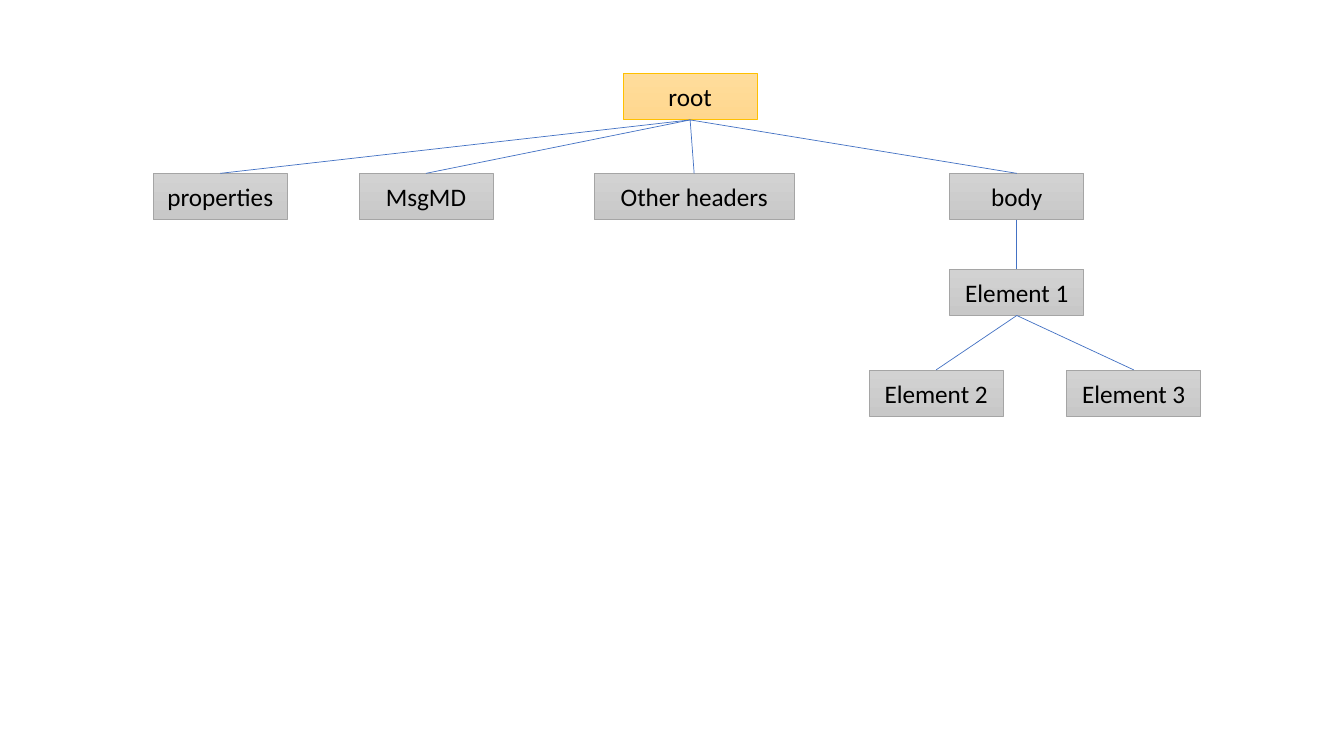
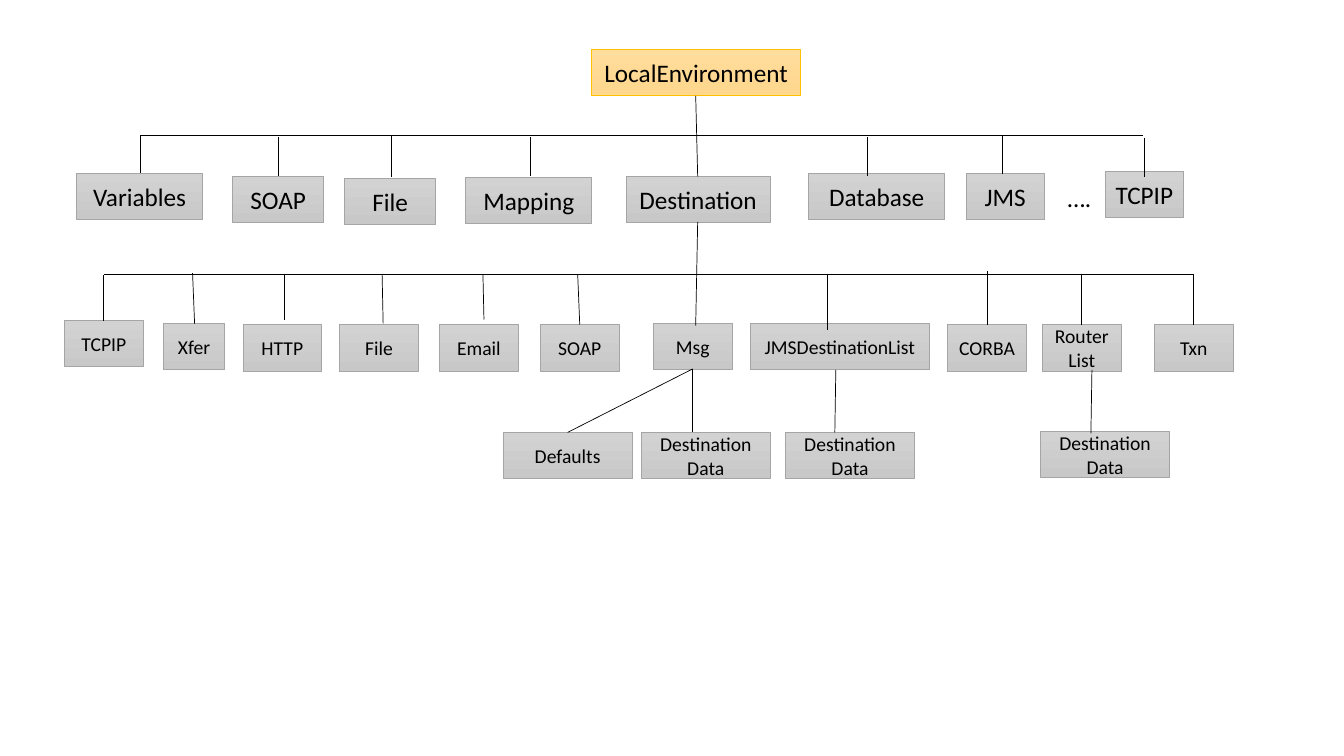
from dataclasses import dataclass

from lxml.etree import SubElement
from pptx import Presentation
from pptx.dml.color import RGBColor
from pptx.enum.shapes import MSO_CONNECTOR, MSO_SHAPE
from pptx.enum.text import MSO_ANCHOR, MSO_AUTO_SIZE, PP_ALIGN
from pptx.oxml.ns import qn
from pptx.util import Inches, Pt


@dataclass(frozen=True)
class Theme:
    font: str = "Calibri"
    large: int = 18
    small: int = 14
    text: str = "000000"
    root: tuple = ("FFDD9C", "FFD78E", "FFC000")  # gradient top, bottom, outline
    node: tuple = ("D2D2D2", "C8C8C8", "A5A5A5")
    blue: str = "4472C4"
    black: str = "000000"
    line: float = 0.5
    node_height: float = 0.46
    node_width: float = 1.33


THEME = Theme()
TOP_SITE, BOTTOM_SITE = 0, 2

# Message tree: name, left, top, width, parent
MESSAGE_NODES = [
    ("properties", 1.52, 1.72, THEME.node_width, "root"),
    ("MsgMD", 3.56, 1.72, THEME.node_width, "root"),
    ("Other headers", 5.89, 1.72, 1.99, "root"),
    ("body", 9.42, 1.72, THEME.node_width, "root"),
    ("Element 1", 9.42, 2.67, THEME.node_width, "body"),
    ("Element 2", 8.62, 3.67, THEME.node_width, "Element 1"),
    ("Element 3", 10.58, 3.67, THEME.node_width, "Element 1"),
]

# Environment tree: name, left, top, width, link (from x, from y, to x, to y)
FOLDERS = [
    ("Variables", 0.76, 1.72, 1.25, (1.39, 1.35, 1.39, 1.72)),
    ("SOAP", 2.31, 1.75, 0.9, (2.76, 1.36, 2.76, 1.75)),
    ("File", 3.42, 1.77, 0.9, (3.88, 1.34, 3.88, 1.76)),
    ("Mapping", 4.62, 1.76, 1.25, (5.26, 1.36, 5.26, 1.75)),
    ("Destination", 6.21, 1.75, 1.43, (6.9, 0.95, 6.92, 1.75)),
    ("Database", 8.02, 1.72, 1.35, (8.6, 1.36, 8.6, 1.75)),
    ("JMS", 9.58, 1.72, 0.78, (9.94, 1.34, 9.94, 1.73)),
    ("TCPIP", 10.96, 1.7, 0.78, (11.35, 1.37, 11.35, 1.76)),
]
DESTINATIONS = [
    ("TCPIP", 0.64, 3.18, 0.78, (1.03, 2.73, 1.03, 3.18)),
    ("Xfer", 1.62, 3.21, 0.61, (1.91, 2.71, 1.93, 3.21)),
    ("HTTP", 2.41, 3.22, 0.78, (2.82, 2.72, 2.82, 3.17)),
    ("File", 3.37, 3.22, 0.78, (3.79, 2.72, 3.8, 3.21)),
    ("Email", 4.36, 3.22, 0.78, (4.79, 2.72, 4.8, 3.17)),
    ("SOAP", 5.36, 3.22, 0.78, (5.73, 2.73, 5.75, 3.22)),
    ("Msg", 6.48, 3.21, 0.78, (6.92, 2.2, 6.9, 3.23)),
    ("JMSDestinationList", 7.44, 3.21, 1.78, (8.21, 2.73, 8.21, 3.27)),
    ("CORBA", 9.4, 3.22, 0.78, (9.79, 2.69, 9.79, 3.22)),
    ("RouterList", 10.34, 3.22, 0.78, (10.73, 2.72, 10.73, 3.22)),
    ("Txn", 11.45, 3.22, 0.78, (11.84, 2.73, 11.84, 3.22)),
]
DETAILS = [
    ("Defaults", 4.99, 4.29, 1.28, (6.87, 3.66, 5.63, 4.29)),
    ("Destination Data", 6.36, 4.29, 1.28, (6.87, 3.66, 6.87, 4.29)),
    ("Destination Data", 7.79, 4.29, 1.28, (8.29, 3.67, 8.28, 4.29)),
    ("Destination Data", 10.32, 4.28, 1.28, (10.83, 3.67, 10.82, 4.3)),
]
BUSES = [(1.39, 1.34, 11.34, 1.34), (1.03, 2.72, 11.84, 2.72)]


def add_text(box, text, size, align):
    box.text_frame.word_wrap = True
    para = box.text_frame.paragraphs[0]
    para.alignment = align
    span = para.add_run()
    span.text = text
    span.font.name = THEME.font
    span.font.size = Pt(size)
    span.font.color.rgb = RGBColor.from_string(THEME.text)


def add_node(page, text, left, top, width, size=THEME.large, colors=THEME.node):
    box = page.shapes.add_shape(
        MSO_SHAPE.RECTANGLE, Inches(left), Inches(top),
        Inches(width), Inches(THEME.node_height))
    box.shadow.inherit = False
    *shades, outline = colors
    box.fill.gradient()
    box.fill.gradient_angle = 270
    for stop, shade in zip(box.fill.gradient_stops, shades):
        stop.color.rgb = RGBColor.from_string(shade)
    box.line.color.rgb = RGBColor.from_string(outline)
    box.line.width = Pt(THEME.line)
    box.text_frame.vertical_anchor = MSO_ANCHOR.MIDDLE
    add_text(box, text, size, PP_ALIGN.CENTER)
    return box


def add_line(page, ends, color):
    line = page.shapes.add_connector(
        MSO_CONNECTOR.STRAIGHT, *(Inches(value) for value in ends))
    line.line.color.rgb = RGBColor.from_string(color)
    line.line.width = Pt(THEME.line)
    SubElement(line._element.spPr, qn("a:effectLst"))
    return line


def join(page, parent, child):
    line = add_line(page, (0, 0, 1, 1), THEME.blue)
    line.begin_connect(parent, BOTTOM_SITE)
    line.end_connect(child, TOP_SITE)


def add_label(page, text, left, top, width, height):
    box = page.shapes.add_textbox(
        Inches(left), Inches(top), Inches(width), Inches(height))
    add_text(box, text, THEME.large, PP_ALIGN.LEFT)
    box.text_frame.auto_size = MSO_AUTO_SIZE.SHAPE_TO_FIT_TEXT


def build_message_tree(page):
    boxes = {"root": add_node(page, "root", 6.18, 0.73, THEME.node_width,
                              colors=THEME.root)}
    for name, left, top, width, parent in MESSAGE_NODES:
        boxes[name] = add_node(page, name, left, top, width)
        join(page, boxes[parent], boxes[name])


def build_environment_tree(page):
    add_node(page, "LocalEnvironment", 5.87, 0.49, 2.07, colors=THEME.root)
    add_label(page, "….", 10.49, 1.76, 0.47, 0.4)
    # Boxes first, so that the lines run over them
    levels = [(FOLDERS, THEME.large), (DESTINATIONS, THEME.small),
              (DETAILS, THEME.small)]
    links = list(BUSES)
    for nodes, size in levels:
        for name, left, top, width, link in nodes:
            add_node(page, name, left, top, width, size)
            links.append(link)
    for link in links:
        add_line(page, link, THEME.black)


def main():
    deck = Presentation()
    deck.slide_width, deck.slide_height = Inches(13.33), Inches(7.5)
    blank = deck.slide_layouts[6]
    for build in (build_message_tree, build_environment_tree):
        build(deck.slides.add_slide(blank))
    deck.save("out.pptx")


if __name__ == "__main__":
    main()
